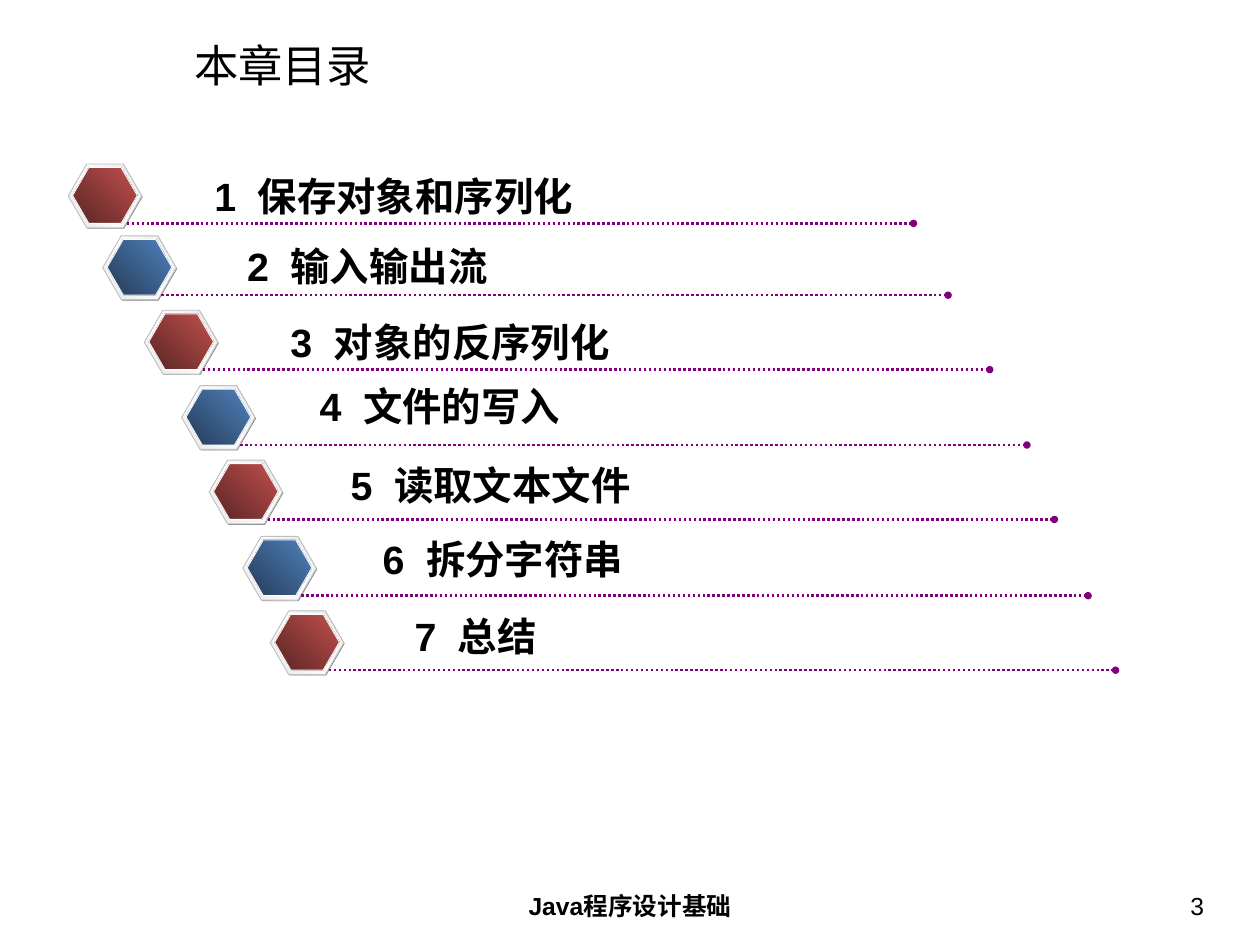
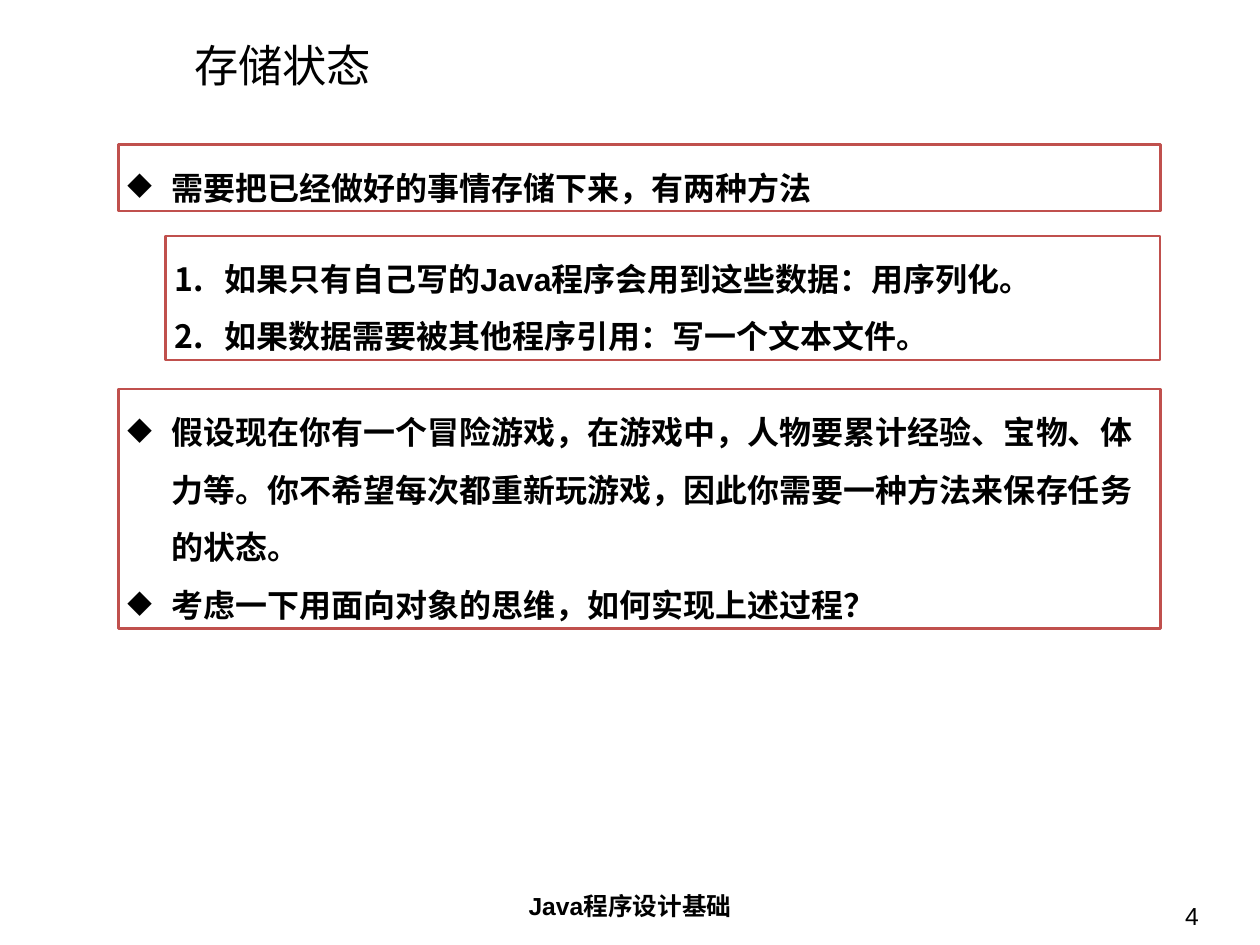
from dataclasses import dataclass

from lxml import etree
from pptx import Presentation
from pptx import util as u
from pptx.dml.color import RGBColor
from pptx.enum import dml, shapes, text
from pptx.oxml import ns

PX = 9144


@dataclass(frozen=True)
class Theme:
    font: str = "Arial"
    ink: str = "000000"
    paper: str = "FFFFFF"
    edge: str = "C0504D"
    rim: str = "C0C0C0"
    shade: str = "808080"
    rule: str = "800080"
    steel: tuple = ("E6E6E6", "FFFFFF", "E6E6E6")
    red: tuple = ("592524", "C0504D")
    blue: tuple = ("253C57", "4F81BD")
    head: int = 36
    item: int = 32
    body: int = 26
    foot: int = 20


T = Theme()
LEFT, MID, RIGHT = text.PP_ALIGN.LEFT, text.PP_ALIGN.CENTER, text.PP_ALIGN.RIGHT


def px(*nums):
    return [u.Emu(n * PX) for n in nums]


def rgb(code):
    return RGBColor.from_string(code)


def sub(node, tag, **attrs):
    return etree.SubElement(node, ns.qn("a:" + tag), {k: str(v) for k, v in attrs.items()})


def write(frame, lines, size, bold=False, align=LEFT, anchor=text.MSO_ANCHOR.TOP,
          pad=(10, 5), space=None, mark=None, hang=0, tab=0):
    frame.word_wrap = True
    frame.vertical_anchor = anchor
    frame.margin_left = frame.margin_right = u.Emu(pad[0] * PX)
    frame.margin_top = frame.margin_bottom = u.Emu(pad[1] * PX)
    for i, line in enumerate(lines):
        para = frame.add_paragraph() if i else frame.paragraphs[0]
        para.alignment = align
        if space:
            para.line_spacing = space
        props = para._p.get_or_add_pPr()
        if mark:
            props.set("marL", str(hang * PX))
            props.set("indent", str(-hang * PX))
            if mark == "1.":
                sub(props, "buAutoNum", type="arabicPeriod")
            else:
                sub(props, "buChar", char=mark)
        if tab:
            sub(sub(props, "tabLst"), "tab", pos=tab * PX, algn="l")
        run = para.add_run()
        run.text = line
        font = run.font
        font.name, font.size, font.bold = T.font, u.Pt(size), bold
        font.color.rgb = rgb(T.ink)


def label(tree, box, lines, size, **form):
    write(tree.add_textbox(*px(*box)).text_frame, lines, size, **form)


def paint(shape, fill, line=None, width=0.75):
    shape.shadow.inherit = False
    if isinstance(fill, tuple):
        shape.fill.gradient()
        shape.fill.gradient_angle = 45
        stops = shape.element.spPr.find(ns.qn("a:gradFill")).find(ns.qn("a:gsLst"))
        for old in list(stops):
            stops.remove(old)
        for i, code in enumerate(fill):
            stop = sub(stops, "gs", pos=100000 * i // (len(fill) - 1))
            sub(stop, "srgbClr", val=code)
    else:
        shape.fill.solid()
        shape.fill.fore_color.rgb = rgb(fill)
    if line:
        shape.line.color.rgb = rgb(line)
        shape.line.width = u.Pt(width)
    else:
        shape.line.fill.background()


def gem(tree, box, fill, line=None):
    shape = tree.add_shape(shapes.MSO_SHAPE.HEXAGON, *px(*box))
    shape.adjustments[0] = 0.29
    paint(shape, fill, line)


def rule(tree, x, y, wide):
    link = tree.add_connector(shapes.MSO_CONNECTOR.STRAIGHT, *px(x, y, x + wide, y))
    link.line.color.rgb = rgb(T.rule)
    link.line.width = u.Pt(2)
    link.line.dash_style = dml.MSO_LINE.ROUND_DOT
    props = link.element.spPr
    sub(props.find(ns.qn("a:ln")), "tailEnd", type="oval")
    sub(props, "effectLst")


def entry(slide, x, y, dx, dy, core, words):
    tree = slide.shapes.add_group_shape().shapes
    gem(tree, (x + 1, y + 1, 83, 72), T.shade)
    gem(tree, (x, y, 83, 72), T.steel, T.rim)
    gem(tree, (x + 5, y + 4, 73, 63), core, T.paper)
    rule(tree, x + 66, y + 67, 888)
    label(tree, (x + dx, y + dy, 440, 64), [words], T.item, bold=True, tab=49)


def panel(slide, box, lines, mark, hang):
    shape = slide.shapes.add_shape(shapes.MSO_SHAPE.RECTANGLE, *px(*box))
    paint(shape, T.paper, T.edge, 2)
    write(shape.text_frame, lines, T.body, bold=True, space=1.5, mark=mark, hang=hang)


def base(deck, title, page, x, y):
    slide = deck.slides.add_slide(deck.slide_layouts[6])
    tree, pad = slide.shapes, (14, 7)
    label(tree, (205, 45, 1183, 57), [title], T.head, pad=pad, anchor=text.MSO_ANCHOR.MIDDLE)
    label(tree, (486, 998, 450, 55), ["Java程序设计基础"], T.foot, pad=pad, bold=True, align=MID)
    label(tree, (x, y, 332, 55), [page], T.foot, pad=pad, align=RIGHT)
    return slide


def agenda(deck):
    slide = base(deck, "本章目录", "3", 1041, 998)
    rows = [
        (77, 185, 155, 4, "保存对象和序列化"),
        (116, 266, 153, 2, "输入输出流"),
        (163, 350, 155, 4, "对象的反序列化"),
        (205, 435, 146, -9, "文件的写入"),
        (236, 519, 150, -4, "读取文本文件"),
        (274, 605, 148, -6, "拆分字符串"),
        (305, 689, 153, -3, "总结"),
    ]
    for i, (x, y, dx, dy, words) in enumerate(rows):
        entry(slide, x, y, dx, dy, (T.red, T.blue)[i % 2], f"{i + 1}\t{words}")


def state(deck):
    slide = base(deck, "存储状态", "4", 1035, 1009)
    panel(slide, (134, 163, 1176, 75), ["需要把已经做好的事情存储下来，有两种方法"], "◆", 50)
    panel(slide, (187, 266, 1122, 140), [
        "如果只有自己写的Java程序会用到这些数据：用序列化。",
        "如果数据需要被其他程序引用：写一个文本文件。",
    ], "1.", 56)
    panel(slide, (134, 439, 1176, 270), [
        "假设现在你有一个冒险游戏，在游戏中，人物要累计经验、宝物、体力等。"
        "你不希望每次都重新玩游戏，因此你需要一种方法来保存任务的状态。",
        "考虑一下用面向对象的思维，如何实现上述过程？",
    ], "◆", 50)


def main():
    deck = Presentation()
    deck.slide_width, deck.slide_height = px(1422, 1066)
    agenda(deck)
    state(deck)
    deck.save("out.pptx")


if __name__ == "__main__":
    main()
